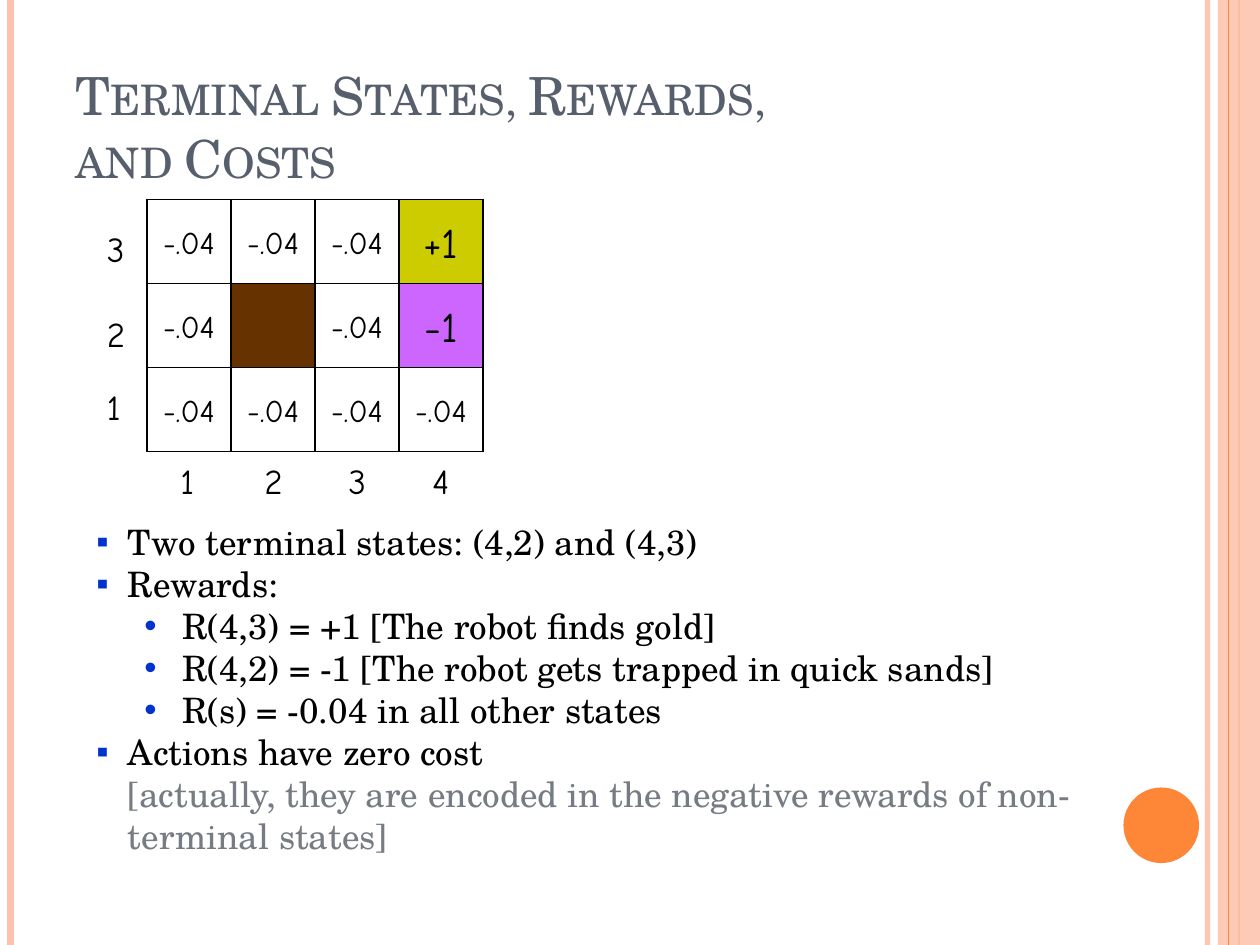
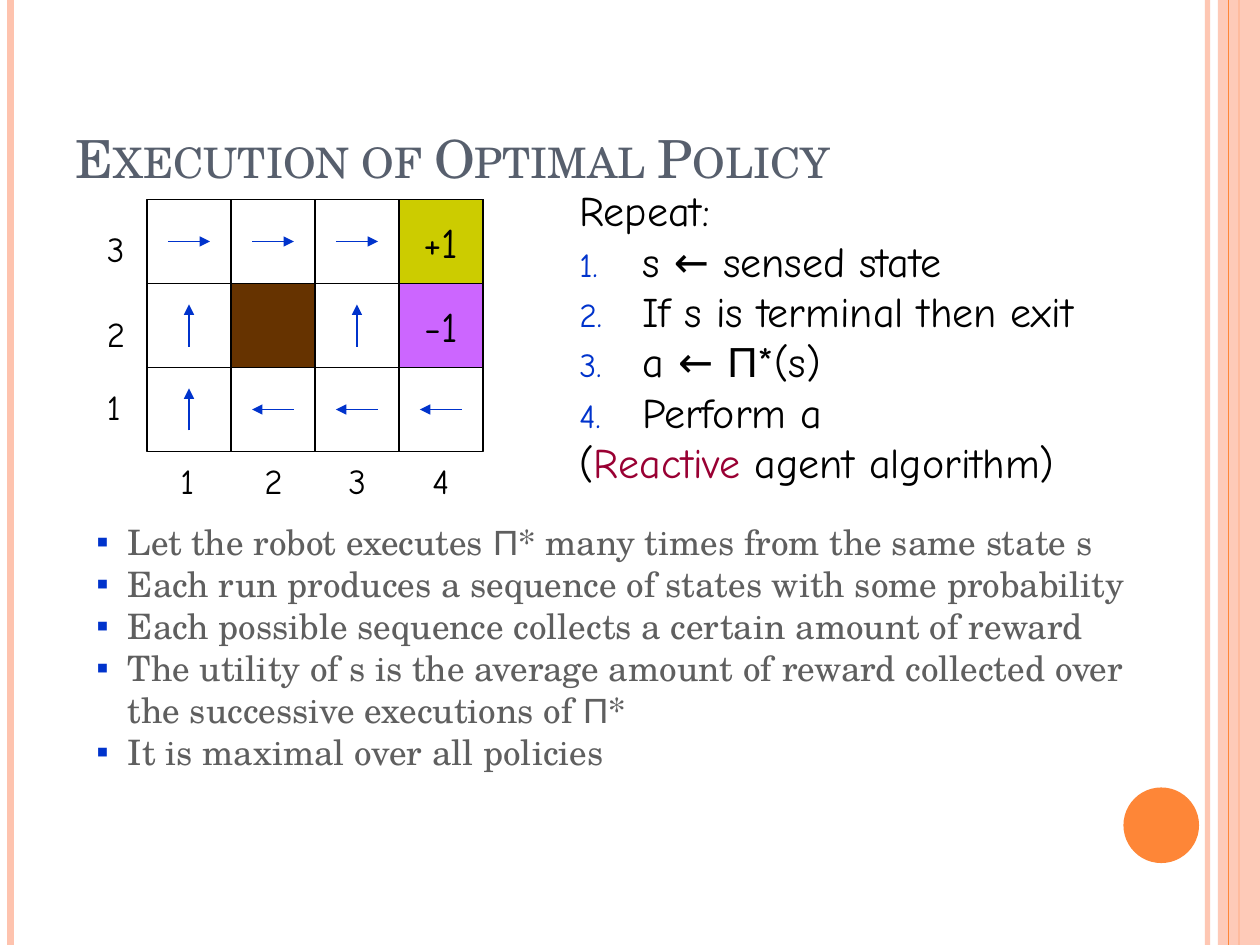
from lxml import etree
from pptx import Presentation
from pptx.dml.color import RGBColor
from pptx.enum import shapes, text
from pptx.oxml.ns import qn
from pptx.util import Pt

HUES = {
    "peach": "FEC3AE", "orange": "FE8637", "slate": "575F6D", "black": "000000",
    "white": "FFFFFF", "blue": "0033CC", "note": "777C84", "gray": "5F5F5F",
    "gold": "CCCC00", "sand": "CC66FF", "wall": "663300", "red": "990033",
}
SERIF, COMIC, SANS = "TeX Gyre Schola", "Comic Neue", "Arial"
WIDE, HIGH = 720, 540
CELL = 48
PI = ("Π", SANS, None)
STEPS = {"→": (1, 0), "←": (-1, 0), "↑": (0, -1)}
PRIZES = {"+1": "gold", "-1": "sand"}
INDENTS = {"▪": (18, -18), "•": (49, -21.6), "1.": (36, -36), "": (36, -36)}


def hue(name):
    return RGBColor.from_string(HUES[name])


def node(parent, tag, **attrs):
    child = etree.SubElement(parent, qn("a:" + tag))
    for key, value in attrs.items():
        child.set(key, str(value))
    return child


def fade(shape, percent):
    for color in shape._element.spPr.iter(qn("a:srgbClr")):
        node(color, "alpha", val=percent * 1000)


def style(font, face, size, color):
    if face:
        font.name = face
    if size:
        font.size = Pt(size)
    if color:
        font.color.rgb = hue(color)


def rule(slide, x1, y1, x2, y2, color="black", width=0.75, arrow=False):
    line = slide.shapes.add_connector(
        shapes.MSO_CONNECTOR.STRAIGHT, Pt(x1), Pt(y1), Pt(x2), Pt(y2))
    line.line.color.rgb = hue(color)
    line.line.width = Pt(width)
    if arrow:
        node(line.line._get_or_add_ln(), "tailEnd", type="triangle")
    node(line._element.spPr, "effectLst")
    return line


def block(slide, x, y, w, h, fill=None, edge=None, kind=shapes.MSO_SHAPE.RECTANGLE):
    shape = slide.shapes.add_shape(kind, Pt(x), Pt(y), Pt(w), Pt(h))
    shape.shadow.inherit = False
    if fill:
        shape.fill.solid()
        shape.fill.fore_color.rgb = hue(fill)
    else:
        shape.fill.background()
    if edge:
        shape.line.color.rgb = hue(edge)
        shape.line.width = Pt(0.75)
    else:
        shape.line.fill.background()
    return shape


def label(slide, x, y, words):
    box = slide.shapes.add_textbox(Pt(x), Pt(y), Pt(27), Pt(31))
    box.text_frame.word_wrap = True
    para = box.text_frame.paragraphs[0]
    para.text = words
    style(para.font, COMIC, 20, "black")


def frame(slide):
    fade(rule(slide, 690, 0, 690, HIGH, "peach", 3), 93)
    rule(slide, 6, 0, 6, HIGH, "peach", 4.5)
    rule(slide, 708, 0, 708, HIGH, "orange", 1.5)
    fade(block(slide, 696, 0, WIDE - 696, HIGH, "peach"), 87)
    rule(slide, 702, 0, 702, HIGH, "orange")
    block(slide, 642, 450, 43.2, 43.2, "orange", kind=shapes.MSO_SHAPE.OVAL)


def head(slide, words):
    title = slide.shapes.title
    title.left, title.top, title.width, title.height = Pt(36), Pt(21.6), Pt(588), Pt(90)
    body = title.text_frame
    body.text = words
    body.auto_size = text.MSO_AUTO_SIZE.NONE
    body.word_wrap = True
    body.vertical_anchor = text.MSO_ANCHOR.BOTTOM
    para = body.paragraphs[0]
    para.alignment = text.PP_ALIGN.LEFT
    style(para.font, SERIF, 30, "slate")
    para.font._rPr.set("cap", "small")


def mark(para, sign):
    props = para._p.get_or_add_pPr()
    left, hang = INDENTS[sign]
    props.set("marL", str(Pt(left)))
    props.set("indent", str(Pt(hang)))
    if not sign:
        node(props, "buNone")
        return
    node(node(props, "buClr"), "srgbClr", val=HUES["blue"])
    if sign == "1.":
        node(props, "buSzPct", val=80000)
        node(props, "buAutoNum", type="arabicPeriod")
    else:
        node(props, "buFont", typeface=SANS)
        node(props, "buChar", char=sign)


def listing(slide, x, y, w, h, items, face, size, color):
    body = slide.shapes.add_textbox(Pt(x), Pt(y), Pt(w), Pt(h)).text_frame
    body.word_wrap = True
    for i, (sign, *parts) in enumerate(items):
        para = body.add_paragraph() if i else body.paragraphs[0]
        mark(para, sign)
        style(para.font, face, size, color)
        for part in parts:
            if part == "\n":
                para.add_line_break()
                continue
            words, font, tint = (part, None, None) if isinstance(part, str) else part
            run = para.add_run()
            run.text = words
            style(run.font, font, None, tint)


def tile(slide, x, y, words):
    if words in STEPS:
        dx, dy = (12 * step for step in STEPS[words])
        cx, cy = x + CELL / 2, y + CELL / 2
        rule(slide, cx - dx, cy - dy, cx + dx, cy + dy, "blue", arrow=True)
        return
    if words == "#":
        block(slide, x, y, CELL, CELL, "wall", "black")
        return
    shape = block(slide, x, y, CELL, CELL, PRIZES.get(words, "white"), "black")
    body = shape.text_frame
    body.word_wrap = False
    body.vertical_anchor = text.MSO_ANCHOR.MIDDLE
    para = body.paragraphs[0]
    para.text = words
    para.alignment = text.PP_ALIGN.CENTER
    style(para.font, COMIC, 24 if words in PRIZES else 18, "black")


def world(slide, x, y, rows):
    rows = [row.split() for row in rows]
    tall, broad = len(rows), len(rows[0])
    w, h = broad * CELL, tall * CELL
    edge = block(slide, x, y, w, h, edge="black")
    for col in range(1, broad):
        line = rule(slide, x + col * CELL, y, x + col * CELL, y + h)
        if col * 2 == broad:
            line.begin_connect(edge, 0)
            line.end_connect(edge, 2)
    for row in range(1, tall):
        rule(slide, x, y + row * CELL, x + w, y + row * CELL)
    for name, drop in zip("321", (12.7, 61, 102.7)):
        label(slide, x - 30, y + drop, name)
    for col in range(broad):
        label(slide, x + 12 + col * CELL, y + h + 1.2, str(col + 1))
    for r, row in enumerate(rows):
        for c, words in enumerate(row):
            tile(slide, x + c * CELL, y + r * CELL, words)


def page(deck, title, rows):
    slide = deck.slides.add_slide(deck.slide_layouts[5])
    frame(slide)
    head(slide, title)
    world(slide, 84, 114, rows)
    return slide


def rewards(deck):
    slide = page(deck, "Terminal States, Rewards, \vand Costs", (
        "-.04 -.04 -.04 +1", "-.04 # -.04 -1", "-.04 -.04 -.04 -.04"))
    listing(slide, 48, 294, 648, 199.5, (
        ("▪", "Two terminal states: (4,2) and (4,3)"),
        ("▪", "Rewards:"),
        ("•", "R(4,3) = +1 [The robot finds gold]"),
        ("•", "R(4,2) = -1 [The robot gets trapped in quick sands]"),
        ("•", "R(s) = -0.04 in all other states"),
        ("▪", "Actions have zero cost ", "\n",
         ("[actually, they are encoded in the negative rewards of "
          "non-terminal states]", None, "note")),
    ), SERIF, 20, "black")


def policy(deck):
    slide = page(deck, "Execution of Optimal Policy", (
        "→ → → +1", "↑ # ↑ -1", "↑ ← ← ←"))
    listing(slide, 48, 294, 636, 151, (
        ("▪", "Let the robot executes ", PI, "* many times from the same state s"),
        ("▪", "Each run produces a sequence of states with some probability"),
        ("▪", "Each possible sequence collects a certain amount of reward"),
        ("▪", "The utility of s is the average amount of reward collected over "
              "the successive executions of ", PI, "*"),
        ("▪", "It is maximal over all policies"),
    ), SERIF, 20, "gray")
    listing(slide, 324, 102, 336, 180, (
        ("", "Repeat:"),
        ("1.", "s ← sensed state"),
        ("1.", "If s is terminal then exit"),
        ("1.", "a ← ", PI, "*(s)"),
        ("1.", "Perform a"),
        ("", "(", ("Reactive", None, "red"), " agent algorithm)"),
    ), COMIC, 24, "black")


def main():
    deck = Presentation()
    deck.slide_width, deck.slide_height = Pt(WIDE), Pt(HIGH)
    rewards(deck)
    policy(deck)
    deck.save("out.pptx")


if __name__ == "__main__":
    main()
